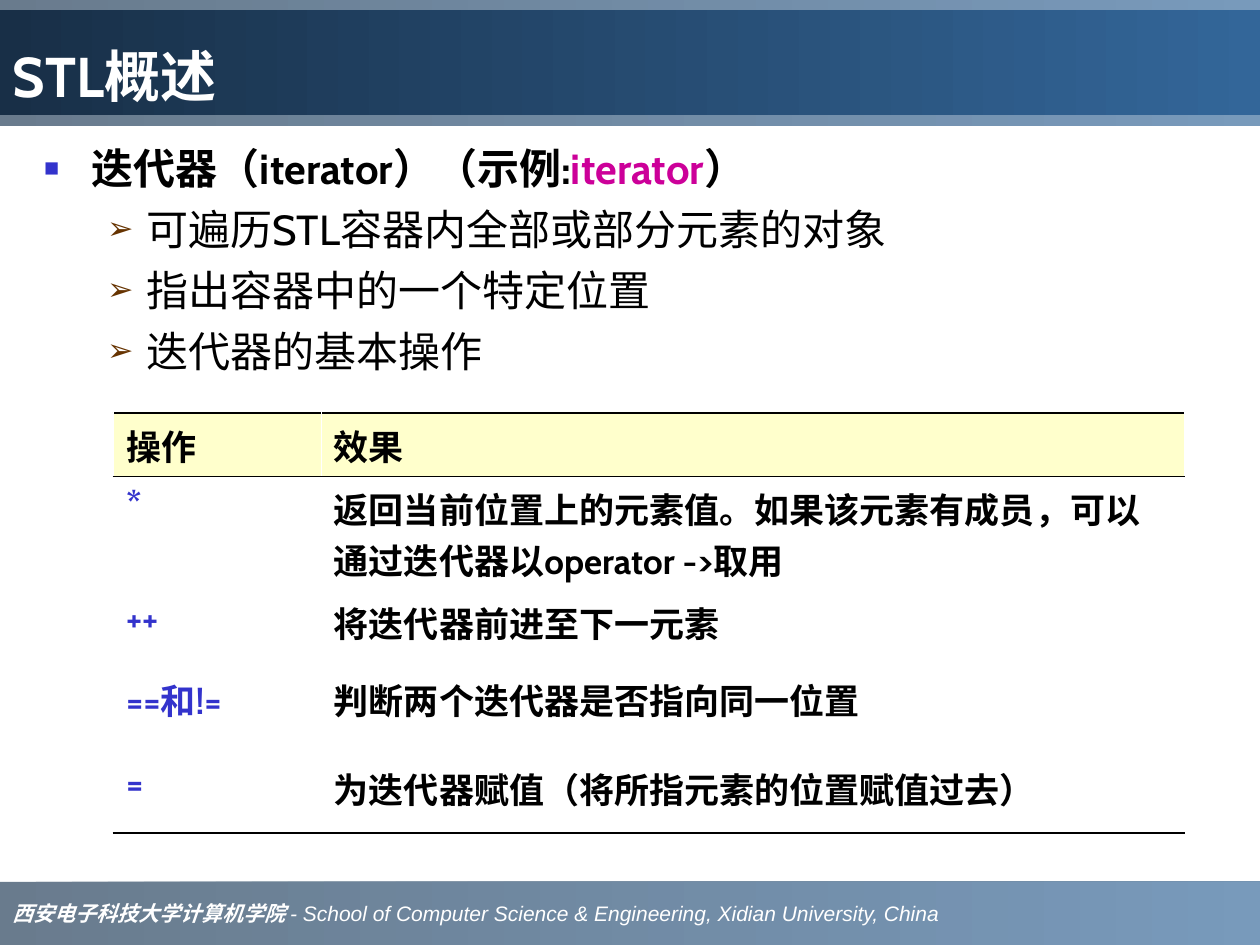
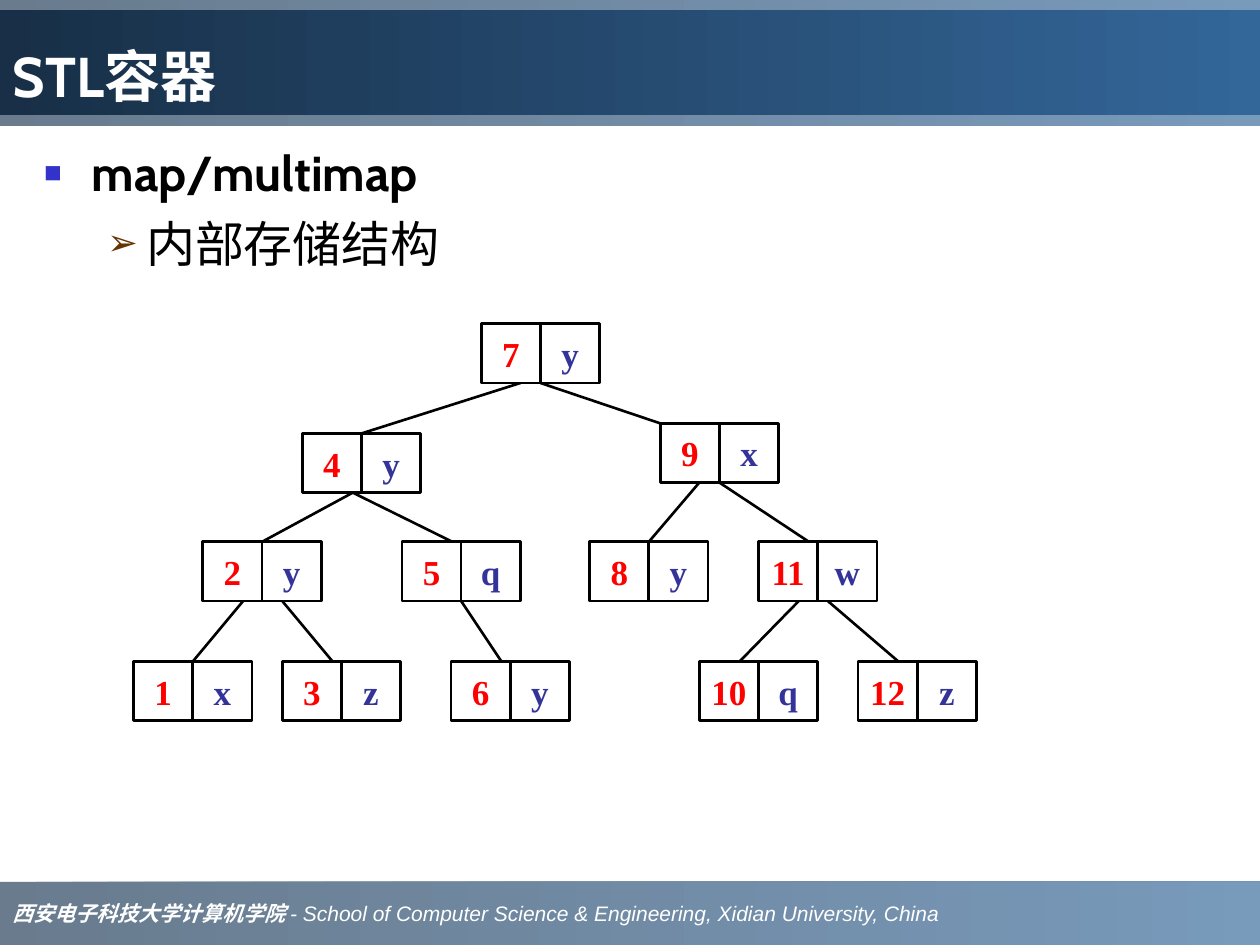
import lxml.etree
import pptx
import pptx.dml.color
import pptx.enum.shapes
import pptx.enum.text
import pptx.oxml.ns
import pptx.util

Inches = pptx.util.Inches
Pt = pptx.util.Pt
RECT = pptx.enum.shapes.MSO_SHAPE.RECTANGLE
LINE = pptx.enum.shapes.MSO_CONNECTOR.STRAIGHT
ANCHOR = pptx.enum.text.MSO_ANCHOR
ALIGN = pptx.enum.text.PP_ALIGN


class Theme:
    white, black = "FFFFFF", "000000"
    band = ("1C3853", "336699")
    head = ("182F47", "336699")
    blue, brown, pink = "3333CC", "663300", "CC0099"
    cream, red, navy = "FFFFCC", "FF0000", "333399"
    sans, serif, foot = "Cabin", "Times New Roman", "Arial"
    title, cell, note = 32, 20, 12
    marks = [
        {"char": "■", "color": blue, "size": 60, "left": 0.38, "hang": 0.38},
        {"char": "➢", "color": brown, "size": 75, "left": 0.81, "hang": 0.31},
    ]


def rgb(code):
    return pptx.dml.color.RGBColor.from_string(code)


def add(parent, tag, **attrs):
    node = lxml.etree.SubElement(parent, pptx.oxml.ns.qn(tag))
    for key, val in attrs.items():
        node.set(key, str(val))
    return node


def place(shape, box):
    shape.left, shape.top, shape.width, shape.height = map(Inches, box)


def style(font, size, name, color, bold=True):
    font.size, font.name, font.bold = Pt(size), name, bold
    font.color.rgb = rgb(color)


def shade(shape, colors):
    shape.fill.gradient()
    shape.fill.gradient_angle = 0
    for stop, color in zip(shape.fill.gradient_stops, colors):
        stop.color.rgb = rgb(color)


def add_band(slide, box):
    band = slide.shapes.add_shape(RECT, *map(Inches, box))
    band.shadow.inherit = False
    band.line.fill.background()
    shade(band, Theme.band)
    for color in band.element.spPr.iter(pptx.oxml.ns.qn("a:srgbClr")):
        add(color, "a:alpha", val=66000)
    return band


def fill_foot(band):
    frame = band.text_frame
    frame.word_wrap = True
    frame.vertical_anchor = ANCHOR.MIDDLE
    para = frame.paragraphs[0]
    para.alignment = ALIGN.LEFT
    para.font.size, para.font.italic = Pt(Theme.note), True
    para.font.color.rgb = rgb(Theme.white)
    parts = [
        ("西安电子科技大学计算机学院 ", Theme.serif, True),
        ("- School of Computer Science & Engineering, Xidian University, China",
         Theme.foot, False),
    ]
    for text, name, bold in parts:
        run = para.add_run()
        run.text = text
        run.font.name, run.font.bold = name, bold


def set_layout(deck, layout):
    for holder in list(layout.placeholders)[2:]:
        holder.element.getparent().remove(holder.element)
    title, body = layout.placeholders
    place(title, (0, 0.08, 10, 0.83))
    place(body, (0.25, 1.08, 9.42, 5.83))
    slide = deck.slides.add_slide(layout)
    top = add_band(slide, (0, 0, 10, 1))
    foot = add_band(slide, (0, 7, 10, 0.5))
    fill_foot(foot)
    for band in (top, foot):
        layout.shapes.element.insert(2, band.element)
    return slide


def fill_title(shape, text):
    shade(shape, Theme.head)
    frame = shape.text_frame
    frame.text = text
    frame.vertical_anchor = ANCHOR.BOTTOM
    frame.auto_size = pptx.enum.text.MSO_AUTO_SIZE.NONE
    para = frame.paragraphs[0]
    para.alignment = ALIGN.LEFT
    style(para.font, Theme.title, Theme.sans, Theme.white)


def set_mark(para, mark):
    props = para._p.get_or_add_pPr()
    props.set("marL", str(Inches(mark["left"])))
    props.set("indent", str(-Inches(mark["hang"])))
    add(add(props, "a:buClr"), "a:srgbClr", val=mark["color"])
    add(props, "a:buSzPct", val=mark["size"] * 1000)
    add(props, "a:buChar", char=mark["char"])


def fill_list(shape, items, size, gap):
    frame = shape.text_frame
    frame.auto_size = pptx.enum.text.MSO_AUTO_SIZE.NONE
    for row, (level, parts) in enumerate(items):
        para = frame.add_paragraph() if row else frame.paragraphs[0]
        para.level = level
        para.space_before = Pt(gap if row else 0)
        set_mark(para, Theme.marks[level])
        style(para.font, size, Theme.sans, Theme.black, level == 0)
        for text, color in parts:
            run = para.add_run()
            run.text = text
            if color != Theme.black:
                run.font.color.rgb = rgb(color)


def add_edge(cell, tag, width):
    props = cell._tc.get_or_add_tcPr()
    edge = add(props, tag, w=Pt(width))
    add(add(edge, "a:solidFill"), "a:srgbClr", val=Theme.black)


def add_grid(slide, box, cols, heights, rows):
    grid = slide.shapes.add_table(len(rows), len(cols), *map(Inches, box)).table
    grid.first_row = grid.horz_banding = False
    for col, width in zip(grid.columns, cols):
        col.width = Inches(width)
    last = len(rows) - 1
    for r, texts in enumerate(rows):
        grid.rows[r].height = Inches(heights[r])
        for c, text in enumerate(texts):
            cell = grid.cell(r, c)
            cell.text = text
            color = Theme.blue if r and not c else Theme.black
            style(cell.text_frame.paragraphs[0].font, Theme.cell, Theme.sans, color)
            if r < 2:
                add_edge(cell, "a:lnT", 0.75 if r else 1.08)
            if r in (0, last):
                add_edge(cell, "a:lnB", 1.08 if r else 0.75)
            if r:
                cell.fill.background()
            else:
                cell.fill.solid()
                cell.fill.fore_color.rgb = rgb(Theme.cream)


def add_cell(shapes, left, top, side, text, color):
    cell = shapes.add_shape(RECT, *map(Inches, (left, top, side, side)))
    cell.shadow.inherit = False
    cell.fill.solid()
    cell.fill.fore_color.rgb = rgb(Theme.white)
    cell.line.color.rgb = rgb(Theme.black)
    cell.line.width = Pt(1.5)
    frame = cell.text_frame
    frame.margin_left = frame.margin_right = frame.margin_top = frame.margin_bottom = 0
    frame.word_wrap = False
    frame.vertical_anchor = ANCHOR.MIDDLE
    frame.text = text
    para = frame.paragraphs[0]
    para.alignment = ALIGN.CENTER
    style(para.font, Theme.cell, Theme.serif, color)


def add_link(shapes, *ends):
    link = shapes.add_connector(LINE, *map(Inches, ends))
    link.line.color.rgb = rgb(Theme.black)
    link.line.width = Pt(1.5)
    add(link.element.spPr, "a:effectLst")


def add_tree(slide, left, top, side, nodes, links):
    shapes = slide.shapes.add_group_shape().shapes
    for start, end, out, into in links:
        _, x1, y1 = nodes[start]
        _, x2, y2 = nodes[end]
        add_link(shapes, left + x1 + out, top + y1 + side, left + x2 + into, top + y2)
    for key, (val, x, y) in nodes.items():
        add_cell(shapes, left + x, top + y, side, str(key), Theme.red)
        add_cell(shapes, left + x + side, top + y, side, val, Theme.navy)


def build_iter(slide):
    title, body = slide.placeholders
    fill_title(title, "STL概述")
    fill_list(body, [
        (0, [("迭代器（iterator）（示例:", Theme.black),
             ("iterator", Theme.pink), ("）", Theme.black)]),
        (1, [("可遍历STL容器内全部或部分元素的对象", Theme.black)]),
        (1, [("指出容器中的一个特定位置", Theme.black)]),
        (1, [("迭代器的基本操作", Theme.black)]),
    ], size=24, gap=6)
    add_grid(slide, (0.9, 3.28, 8.5, 3.06), (1.65, 6.85), (0.47, 0.67, 0.61, 0.7, 0.61), [
        ("操作", "效果"),
        ("*", "返回当前位置上的元素值。如果该元素有成员，可以通过迭代器以operator ->取用"),
        ("++", "将迭代器前进至下一元素"),
        ("==和!=", "判断两个迭代器是否指向同一位置"),
        ("=", "为迭代器赋值（将所指元素的位置赋值过去）"),
    ])


def build_map(slide):
    title, body = slide.placeholders
    fill_title(title, "STL容器")
    fill_list(body, [
        (0, [("map/multimap", Theme.black)]),
        (1, [("内部存储结构", Theme.black)]),
    ], size=28, gap=7)
    third, fourth = 1.73, 2.68
    nodes = {
        7: ("y", 2.76, 0),
        4: ("y", 1.34, 0.87), 9: ("x", 4.18, 0.79),
        2: ("y", 0.55, third), 5: ("q", 2.13, third),
        8: ("y", 3.62, third), 11: ("w", 4.96, third),
        1: ("x", 0, fourth), 3: ("z", 1.18, fourth), 6: ("y", 2.52, fourth),
        10: ("q", 4.49, fourth), 12: ("z", 5.75, fourth),
    }
    links = [
        (7, 4, 0.31, 0.47), (7, 9, 0.47, 0),
        (4, 2, 0.4, 0.47), (4, 5, 0.4, 0.4),
        (9, 8, 0.31, 0.47), (9, 11, 0.47, 0.4),
        (2, 1, 0.32, 0.47), (2, 3, 0.63, 0.4), (5, 6, 0.47, 0.4),
        (11, 10, 0.32, 0.32), (11, 12, 0.55, 0.32),
    ]
    add_tree(slide, 1.06, 2.57, 0.47, nodes, links)


def main():
    deck = pptx.Presentation()
    deck.slide_width, deck.slide_height = Inches(10), Inches(7.5)
    layout = deck.slide_layouts[1]
    build_iter(set_layout(deck, layout))
    build_map(deck.slides.add_slide(layout))
    deck.save("out.pptx")


if __name__ == "__main__":
    main()
